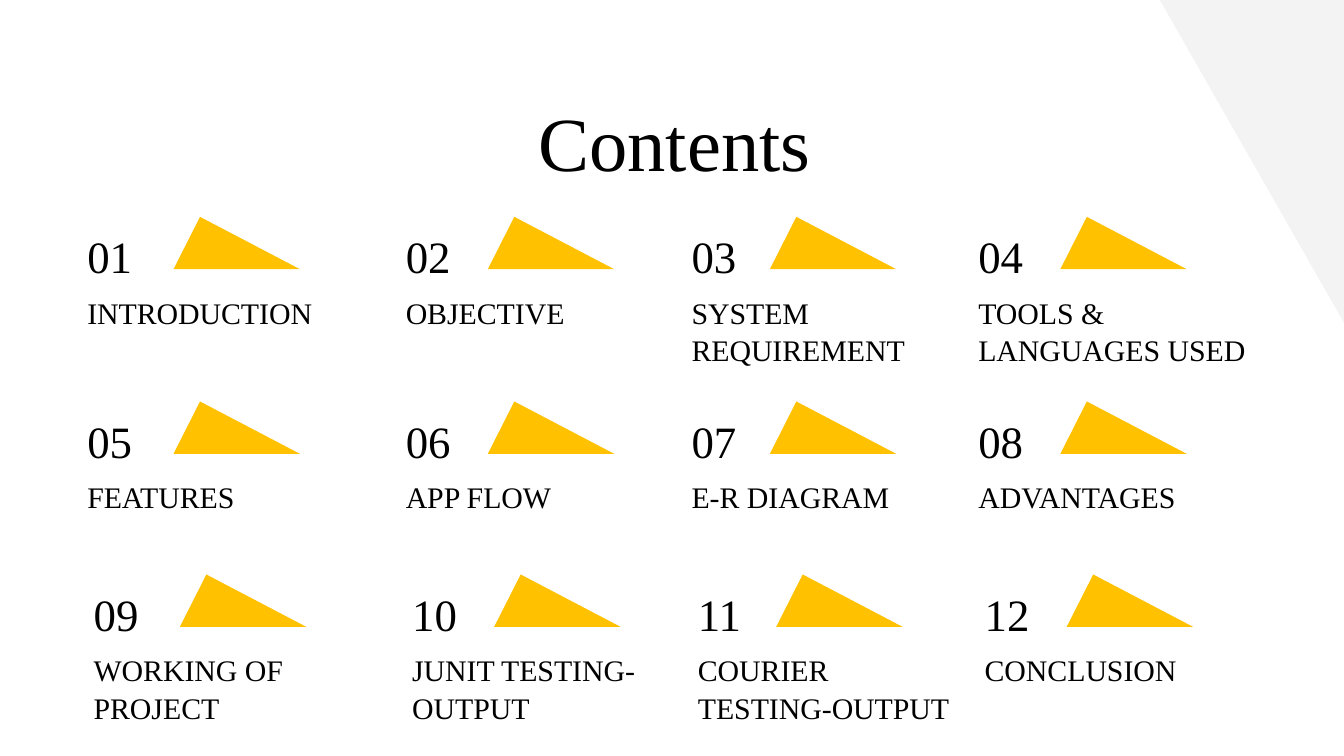
from pptx import Presentation
from pptx.dml.color import RGBColor
from pptx.enum.shapes import MSO_SHAPE as Shape
from pptx.enum.text import MSO_ANCHOR as Anchor, PP_ALIGN as Align
from pptx.util import Cm, Pt

TOPICS = [
    "INTRODUCTION", "OBJECTIVE", "SYSTEM REQUIREMENT", "TOOLS & LANGUAGES USED",
    "FEATURES", "APP FLOW", "E-R DIAGRAM", "ADVANTAGES",
    "WORKING OF PROJECT", "JUNIT TESTING-OUTPUT", "COURIER TESTING-OUTPUT", "CONCLUSION",
]
# Left of the text, left of the marker, width of the topic
COLS = [(1.4, 3.28, 6), (7.42, 9.22, 6), (12.82, 14.55, 5.5), (18.24, 20.04, 6)]
# Top of the number, shift to the right
ROWS = [(4.29, 0), (7.78, 0), (11.05, 0.12)]
HIGH = 0.99


def put_text(box, text, size, align=Align.LEFT, anchor=Anchor.TOP, line=1.1, after=0):
    frame = box.text_frame
    frame.word_wrap = True
    frame.vertical_anchor = anchor
    frame.margin_left = frame.margin_right = Cm(0.25)
    frame.margin_top = frame.margin_bottom = Cm(0.25)
    para = frame.paragraphs[0]
    para.alignment = align
    para.line_spacing = line
    para.space_before = Pt(0)
    para.space_after = Pt(after)
    run = para.add_run()
    run.text = text
    run.font.name = "Times New Roman"
    run.font.size = Pt(size)
    run.font.color.rgb = RGBColor.from_string("000000")


def add_shape(kind, x, y, w, h, fill):
    shape = slide.shapes.add_shape(kind, Cm(x), Cm(y), Cm(w), Cm(h))
    shape.shadow.inherit = False
    shape.fill.solid()
    shape.fill.fore_color.rgb = RGBColor.from_string(fill)
    shape.line.fill.background()
    return shape


prs = Presentation()
prs.slide_width, prs.slide_height = Cm(25.4), Cm(14.29)
slide = prs.slides.add_slide(prs.slide_layouts[5])

corner = add_shape(Shape.RIGHT_TRIANGLE, 21.92, 0, 3.48, 6.1, "F3F3F3")
corner.rotation = 180

title = slide.shapes.title
title.left, title.top, title.width, title.height = Cm(1.5), Cm(1.37), Cm(22.5), Cm(1.6)
put_text(title, "Contents", 41, align=Align.CENTER)

for i, topic in enumerate(TOPICS):
    left, mark, width = COLS[i % 4]
    top, shift = ROWS[i // 4]

    wedge = add_shape(Shape.ISOSCELES_TRIANGLE, mark + shift, top - 0.19, 2.39, HIGH, "FFC100")
    wedge.adjustments[0] = 0.21

    x = Cm(left + shift)
    number = slide.shapes.add_textbox(x, Cm(top), Cm(3), Cm(HIGH))
    put_text(number, f"{i + 1:02}", 24, anchor=Anchor.MIDDLE)
    label = slide.shapes.add_textbox(x, Cm(top + HIGH), Cm(width), Cm(HIGH))
    put_text(label, topic, 16, line=1.05, after=16)

prs.save("out.pptx")
